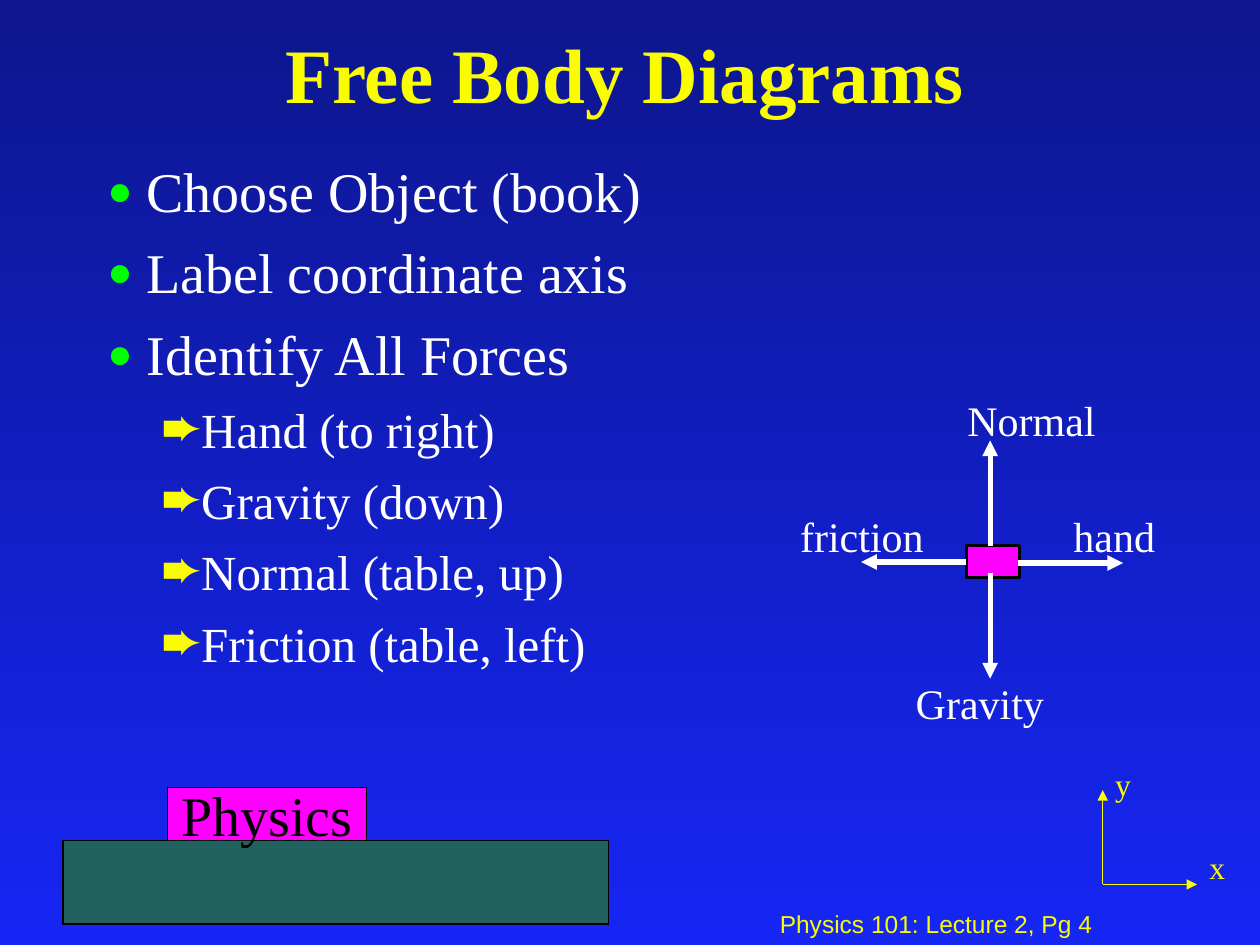
from lxml.etree import SubElement
from pptx import Presentation
from pptx.dml.color import RGBColor
from pptx.enum.shapes import MSO_CONNECTOR, MSO_SHAPE
from pptx.enum.text import MSO_ANCHOR, MSO_AUTO_SIZE, PP_ALIGN
from pptx.oxml.ns import qn
from pptx.util import Cm, Pt

SERIF, SANS = "Times New Roman", "Arial"
YELLOW, WHITE, BLACK, GREEN = "FAFD00", "FFFFFF", "000000", "00FF00"
MAGENTA, TEAL = "FF00FF", "21615E"
BACKGROUND = ("0D168D", "1626F4")

TITLE = "Free Body Diagrams"
FOOTER = "Physics 101: Lecture 2, Pg 4"
BULLETS = [
    (0, "Choose Object (book)"),
    (0, "Label coordinate axis"),
    (0, "Identify All Forces"),
    (1, "Hand (to right)"),
    (1, "Gravity (down)"),
    (1, "Normal (table, up)"),
    (1, "Friction (table, left)"),
]
LEVELS = [
    dict(char="●", color=GREEN, scale=75, left=0.79, hang=0.79, size=32, before=12),
    dict(char="➨", color=YELLOW, scale=90, left=1.75, hang=0.64, size=28, before=10.5),
]
BOXES = [
    ("", (1.27, 16.94, 11, 1.69), TEAL, 0.75),
    ("Physics", (3.38, 15.88, 4.01, 1.06), MAGENTA, 0.75),
    ("", (19.48, 11, 1.07, 0.64), MAGENTA, 1.5),
]
FORCE = dict(length=2.12, color=WHITE, width=3, size=24, height=1.27)
AXIS = dict(length=1.9, color=YELLOW, width=0.75, size=18, height=1.02)
ARROWS = [
    ("hand", FORCE, (20.52, 11.35), (1, 0), (21.39, 10.16, 2.34)),
    ("Gravity", FORCE, (19.96, 11.56), (0, 1), (18.21, 13.54, 3.38)),
    ("Normal", FORCE, (19.96, 11), (0, -1), (19.25, 7.82, 3.38)),
    ("friction", FORCE, (19.48, 11.33), (-1, 0), (15.88, 10.16, 3.38)),
    ("y", AXIS, (22.23, 17.83), (0, -1), (22.23, 15.29, 0.84)),
    ("x", AXIS, (22.23, 17.83), (1, 0), (24.13, 16.97, 0.84)),
]


def rgb(value):
    """Turn a hex string into a colour."""
    return RGBColor.from_string(value)


def place(sp, box):
    """Move and size a shape, in centimetres."""
    for name, value in zip(("left", "top", "width", "height"), box):
        setattr(sp, name, Cm(value))


def write(p, text, size, color, font=SERIF, bold=False, **layout):
    """Fill a paragraph with one formatted run."""
    for name, value in layout.items():
        setattr(p, name, value)
    r = p.add_run()
    r.text = text
    for name, value in dict(size=Pt(size), name=font, bold=bold).items():
        setattr(r.font, name, value)
    r.font.color.rgb = rgb(color)


def frame(sp, anchor=MSO_ANCHOR.TOP, wrap=True):
    """Set up the text frame of a shape and return it."""
    tf = sp.text_frame
    values = dict(auto_size=MSO_AUTO_SIZE.NONE, word_wrap=wrap, vertical_anchor=anchor)
    for name, value in values.items():
        setattr(tf, name, value)
    return tf


def add_label(s, text, box, size, color, **kwargs):
    """Add a text box with one line."""
    sp = s.shapes.add_textbox(*map(Cm, box))
    write(frame(sp).paragraphs[0], text, size, color, **kwargs)


def add_bullet(p, char, color, scale, left, hang):
    """Give a paragraph a coloured bullet with a hanging indent."""
    pPr = p._p.get_or_add_pPr()
    pPr.set("marL", str(Cm(left)))
    pPr.set("indent", str(-Cm(hang)))
    SubElement(SubElement(pPr, qn("a:buClr")), qn("a:srgbClr"), val=color)
    SubElement(pPr, qn("a:buSzPct"), val=str(scale * 1000))
    SubElement(pPr, qn("a:buFont"), typeface=SERIF)
    SubElement(pPr, qn("a:buChar"), char=char)


def add_body(sp):
    """Write the two-level bullet list."""
    tf = frame(sp)
    for i, (level, text) in enumerate(BULLETS):
        p = tf.add_paragraph() if i else tf.paragraphs[0]
        style = dict(LEVELS[level])
        size, before = style.pop("size"), style.pop("before")
        add_bullet(p, **style)
        write(p, text, size, WHITE, level=level, line_spacing=0.9,
              space_before=Pt(before if i else 0))


def add_box(s, text, box, fill, width):
    """Add an outlined rectangle, with centred text if there is any."""
    sp = s.shapes.add_shape(MSO_SHAPE.RECTANGLE, *map(Cm, box))
    sp.shadow.inherit = False
    sp.fill.solid()
    sp.fill.fore_color.rgb = rgb(fill)
    sp.line.color.rgb = rgb(BLACK)
    sp.line.width = Pt(width)
    if text:
        tf = frame(sp, MSO_ANCHOR.MIDDLE, wrap=False)
        write(tf.paragraphs[0], text, 32, BLACK, alignment=PP_ALIGN.CENTER)


def add_arrow(s, text, style, start, direction, label):
    """Add an arrow of the style's length and its label."""
    end = [a + style["length"] * d for a, d in zip(start, direction)]
    line = s.shapes.add_connector(MSO_CONNECTOR.STRAIGHT, *map(Cm, (*start, *end)))
    line.line.color.rgb = rgb(style["color"])
    line.line.width = Pt(style["width"])
    SubElement(line.line._get_or_add_ln(), qn("a:tailEnd"), type="triangle")
    SubElement(line._element.spPr, qn("a:effectLst"))
    add_label(s, text, (*label, style["height"]), style["size"], style["color"])


def main():
    """Build the slide and save it."""
    prs = Presentation()
    prs.slide_width, prs.slide_height = Cm(25.4), Cm(19.05)
    s = prs.slides.add_slide(prs.slide_layouts[1])
    fill = s.background.fill
    fill.gradient()
    fill.gradient_angle = 270
    for stop, position, color in zip(fill.gradient_stops, (0, 1), BACKGROUND):
        stop.position = position
        stop.color.rgb = rgb(color)

    title, body = s.placeholders
    place(title, (0.43, 0, 24.33, 3.18))
    write(frame(title, MSO_ANCHOR.MIDDLE).paragraphs[0], TITLE, 44, YELLOW,
          bold=True, alignment=PP_ALIGN.CENTER, line_spacing=0.9)
    place(body, (1.91, 3.18, 21.59, 13.77))
    add_body(body)

    add_label(s, FOOTER, (15.47, 18.26, 9.9, 0.79), 14, YELLOW, font=SANS, line_spacing=0.9)
    for box in BOXES:
        add_box(s, *box)
    for arrow in ARROWS:
        add_arrow(s, *arrow)
    prs.save("out.pptx")


if __name__ == "__main__":
    main()
